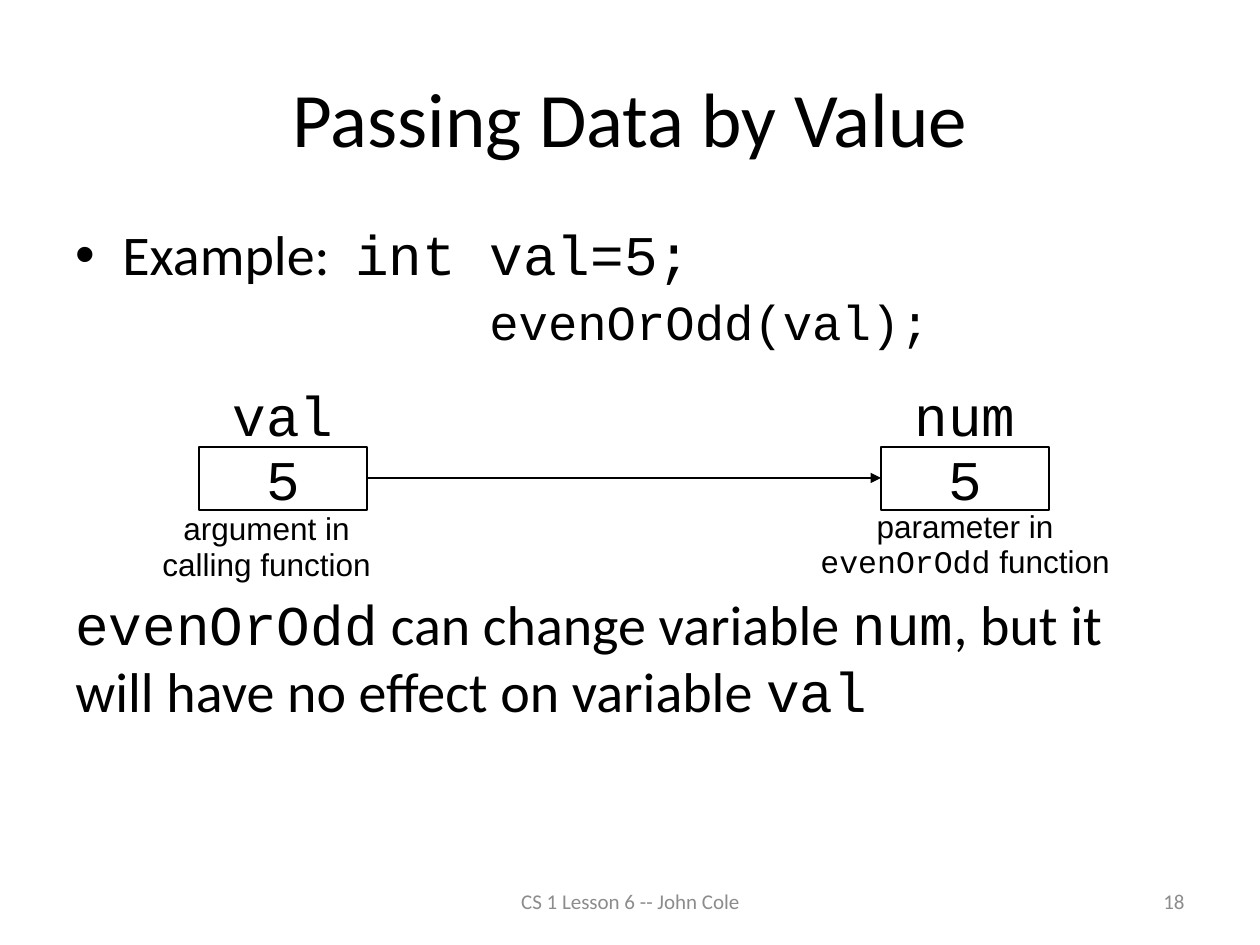
from pptx import Presentation
from pptx.dml.color import RGBColor
from pptx.enum.shapes import MSO_CONNECTOR, MSO_SHAPE
from pptx.enum.text import MSO_ANCHOR, PP_ALIGN
from pptx.oxml.ns import qn
from pptx.util import Pt
from lxml.etree import SubElement

PIXEL = 914400 // 126
BLACK = RGBColor(0, 0, 0)
GREY = RGBColor(0x8C, 0x8C, 0x8C)
SANS, LABEL, CODE = "Calibri", "Arial", "Courier New"


def px(*lengths):
    """Turn pixel lengths into EMU."""
    return [length * PIXEL for length in lengths]


def apply(target, values):
    """Set attributes from a dict of format values."""
    for name, value in values.items():
        setattr(target, name, value)


def write(frame, paragraphs, anchor=MSO_ANCHOR.TOP, wrap=True):
    """Fill a frame with (runs, size, format) paragraphs and return them."""
    apply(frame, {"word_wrap": wrap, "vertical_anchor": anchor})
    written = []
    for index, (runs, size, layout) in enumerate(paragraphs):
        line = frame.add_paragraph() if index else frame.paragraphs[0]
        apply(line, layout)
        for words, face, color in runs:
            run = line.add_run()
            run.text = words
            apply(run.font, {"name": face, "size": Pt(size)})
            run.font.color.rgb = color
        written.append(line)
    return written


def add_text(slide, box, paragraphs, anchor=MSO_ANCHOR.TOP):
    """Place a wrapped text box and return its paragraphs."""
    return write(slide.shapes.add_textbox(*px(*box)).text_frame, paragraphs, anchor)


def add_line_of_text(slide, box, words, size, color, alignment):
    """Place one vertically centred line, as in the title and footer."""
    add_text(slide, box, [([(words, SANS, color)], size, {"alignment": alignment})],
             MSO_ANCHOR.MIDDLE)


def add_body(slide, box):
    """Place the code example and the conclusion below the diagram."""
    declaration = [("Example:  ", SANS, BLACK), ("int val=5;", CODE, BLACK)]
    call = [("evenOrOdd(val);", CODE, BLACK)]
    conclusion = [(words, face, BLACK) for words, face in (
        ("evenOrOdd", CODE), (" can change variable ", SANS), ("num", CODE),
        (", but it will have no effect on variable ", SANS), ("val", CODE))]
    example, nested, _ = add_text(slide, box, [
        (declaration, 32, {"line_spacing": 0.9, "space_before": Pt(6)}),
        (call, 28, {"line_spacing": 0.9, "space_before": Pt(6)}),
        (conclusion, 32, {"space_before": Pt(136)})])
    for line, margin, indent in ((example, 47, -47), (nested, 414, 0)):
        properties = line._p.get_or_add_pPr()
        properties.set("marL", str(margin * PIXEL))
        properties.set("indent", str(indent * PIXEL))
    bullet = example._p.get_or_add_pPr()
    SubElement(bullet, qn("a:buFont"), typeface=LABEL)
    SubElement(bullet, qn("a:buChar"), char="•")


def add_variable(slide, box, name, caption, caption_width, spacing):
    """Place a memory cell with its name above and its role below."""
    left, top, width, height = box
    centred = {"alignment": PP_ALIGN.CENTER, "space_before": Pt(6)}
    cell = slide.shapes.add_shape(MSO_SHAPE.RECTANGLE, *px(*box))
    cell.shadow.inherit = False
    cell.fill.background()
    cell.line.color.rgb = BLACK
    cell.line.width = Pt(0.75)
    write(cell.text_frame, [([("5", CODE, BLACK)], 32, centred)],
          MSO_ANCHOR.MIDDLE, False)
    add_text(slide, (left, top - 73, width, 79), [([(name, CODE, BLACK)], 32, centred)])
    caption_left, caption_span = caption_width
    tight = {"alignment": PP_ALIGN.CENTER, "space_before": Pt(3.6), "line_spacing": spacing}
    add_text(slide, (left + caption_left, top + height, caption_span, 101),
             [([(words, face, BLACK) for words, face in runs], 18, tight)
              for runs in caption])


def add_diagram(slide, box):
    """Place the argument, the parameter and the arrow between them."""
    left, top, width, height = box
    cell_width = 168
    end = left + width - cell_width
    add_variable(slide, (left, top, cell_width, height), "val",
                 [[("argument in", LABEL)], [("calling function", LABEL)]],
                 (-106, 347), 0.8)
    add_variable(slide, (end, top, cell_width, height), "num",
                 [[("parameter in", LABEL)], [("evenOrOdd", CODE), (" function", LABEL)]],
                 (-126, 420), 0.75)
    middle = top + height // 2
    passing = slide.shapes.add_connector(
        MSO_CONNECTOR.STRAIGHT, *px(left + cell_width, middle, end, middle))
    passing.line.color.rgb = BLACK
    passing.line.width = Pt(0.75)
    SubElement(passing.line._get_or_add_ln(), qn("a:tailEnd"), type="triangle")
    SubElement(passing._element.spPr, qn("a:effectLst"))


def build():
    """Build and save the slide."""
    deck = Presentation()
    apply(deck, dict(zip(("slide_width", "slide_height"), px(1260, 945))))
    slide = deck.slides.add_slide(deck.slide_layouts[6])
    add_line_of_text(slide, (63, 38, 1134, 158), "Passing Data by Value", 44, BLACK,
                     PP_ALIGN.CENTER)
    add_body(slide, (63, 221, 1134, 624))
    add_diagram(slide, (199, 447, 850, 63))
    add_line_of_text(slide, (431, 876, 399, 50), "CS 1 Lesson 6 -- John Cole", 12, GREY,
                     PP_ALIGN.CENTER)
    add_line_of_text(slide, (903, 876, 294, 50), "18", 12, GREY, PP_ALIGN.RIGHT)
    deck.save("out.pptx")


build()
